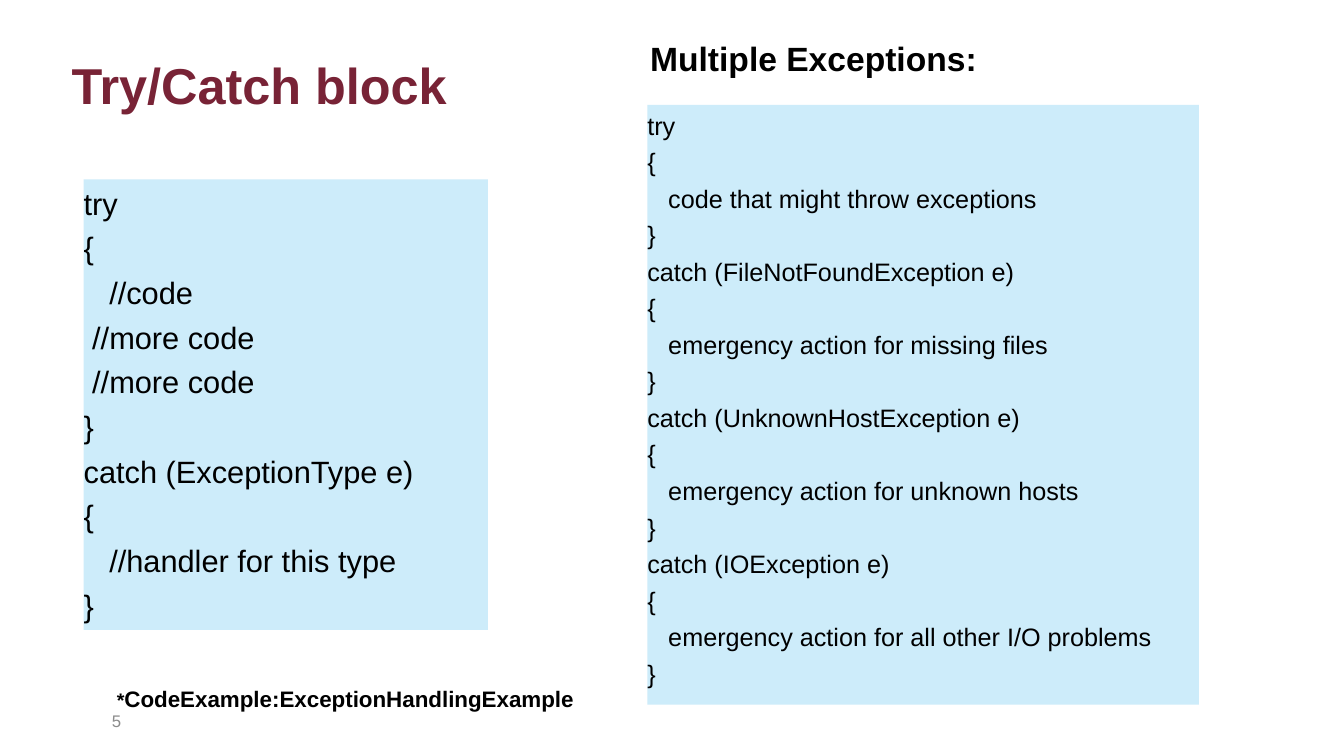
from pptx import Presentation
from pptx.dml.color import RGBColor
from pptx.enum.text import MSO_ANCHOR, MSO_AUTO_SIZE, PP_ALIGN
from pptx.oxml.ns import qn
from pptx.util import Inches, Pt

TOP, MIDDLE = MSO_ANCHOR.TOP, MSO_ANCHOR.MIDDLE
LEFT, RIGHT = PP_ALIGN.LEFT, PP_ALIGN.RIGHT
NO_AUTOFIT = MSO_AUTO_SIZE.NONE

MAROON = RGBColor(0x78, 0x23, 0x36)
PALE_BLUE = RGBColor(0xCD, 0xEC, 0xFA)
GRAY = RGBColor(0x8C, 0x8C, 0x8C)
BLACK = RGBColor(0, 0, 0)

TRY_CATCH = """try
{
   //code
 //more code
 //more code
}
catch (ExceptionType e)
{
   //handler for this type
}"""

MULTIPLE_CATCHES = """try
{
   code that might throw exceptions
}
catch (FileNotFoundException e)
{
   emergency action for missing files
}
catch (UnknownHostException e)
{
   emergency action for unknown hosts
}
catch (IOException e)
{
   emergency action for all other I/O problems
}"""


def set_font(font, size, color=BLACK, bold=False):
    values = {"name": "Arial", "size": Pt(size), "bold": bold}
    for name, value in values.items():
        setattr(font, name, value)
    font.color.rgb = color


def place(shape, box):
    for name, length in zip(("left", "top", "width", "height"), box):
        setattr(shape, name, Inches(length))


def set_frame(frame, anchor=TOP, wrap=True, left_margin=0.1):
    values = {
        "auto_size": NO_AUTOFIT,
        "word_wrap": wrap,
        "vertical_anchor": anchor,
        "margin_left": Inches(left_margin),
        "margin_right": Inches(0.1),
        "margin_top": Inches(0.05),
        "margin_bottom": Inches(0.05),
    }
    for name, value in values.items():
        setattr(frame, name, value)


def add_title(title, box):
    place(title, box)
    set_frame(title.text_frame, MIDDLE, left_margin=0)
    para = title.text_frame.paragraphs[0]
    para.text = "Try/Catch block"
    para.alignment = LEFT
    set_font(para.font, 36, MAROON, True)


def fill_code_panel(panel, box, code, size):
    place(panel, box)
    panel.fill.solid()
    panel.fill.fore_color.rgb = PALE_BLUE
    frame = panel.text_frame
    set_frame(frame, left_margin=0)
    frame.text = code
    for index, para in enumerate(frame.paragraphs):
        properties = para._p.get_or_add_pPr()
        properties.set("marL", "0")
        properties.set("indent", "0")
        properties.append(properties.makeelement(qn("a:buNone"), {}))
        para.alignment = LEFT
        para.space_before = Pt(size * 0.25 if index else 0)
        set_font(para.font, size)


def add_label(slide, box, spans, color=BLACK, bold=True, align=LEFT, anchor=TOP):
    label = slide.shapes.add_textbox(*map(Inches, box))
    set_frame(label.text_frame, anchor, wrap=False)
    para = label.text_frame.paragraphs[0]
    para.alignment = align
    for text, size in spans:
        span = para.add_run()
        span.text = text
        set_font(span.font, size, color, bold)


def build_slide(deck):
    slide = deck.slides.add_slide(deck.slide_layouts[1])
    add_title(slide.shapes.title, (0.71, 0.42, 8.7, 0.83))
    fill_code_panel(slide.placeholders[1], (0.83, 1.78, 4.01, 4.47), TRY_CATCH, 22)
    add_label(slide, (0.83, 6.95, 0.47, 0.4), [("5", 12)], GRAY, False, RIGHT, MIDDLE)
    panel = slide.shapes.add_textbox(0, 0, 0, 0)
    fill_code_panel(panel, (6.42, 1.04, 5.47, 5.95), MULTIPLE_CATCHES, 18)
    add_label(slide, (6.35, 0.33, 3.47, 0.5), [("Multiple Exceptions:", 24)])
    footnote = [("*", 14), ("CodeExample:ExceptionHandlingExample", 16)]
    add_label(slide, (1.06, 6.75, 4.79, 0.64), footnote)


def main():
    deck = Presentation()
    deck.slide_width = Inches(13.33)
    deck.slide_height = Inches(7.5)
    build_slide(deck)
    deck.save("out.pptx")


if __name__ == "__main__":
    main()
